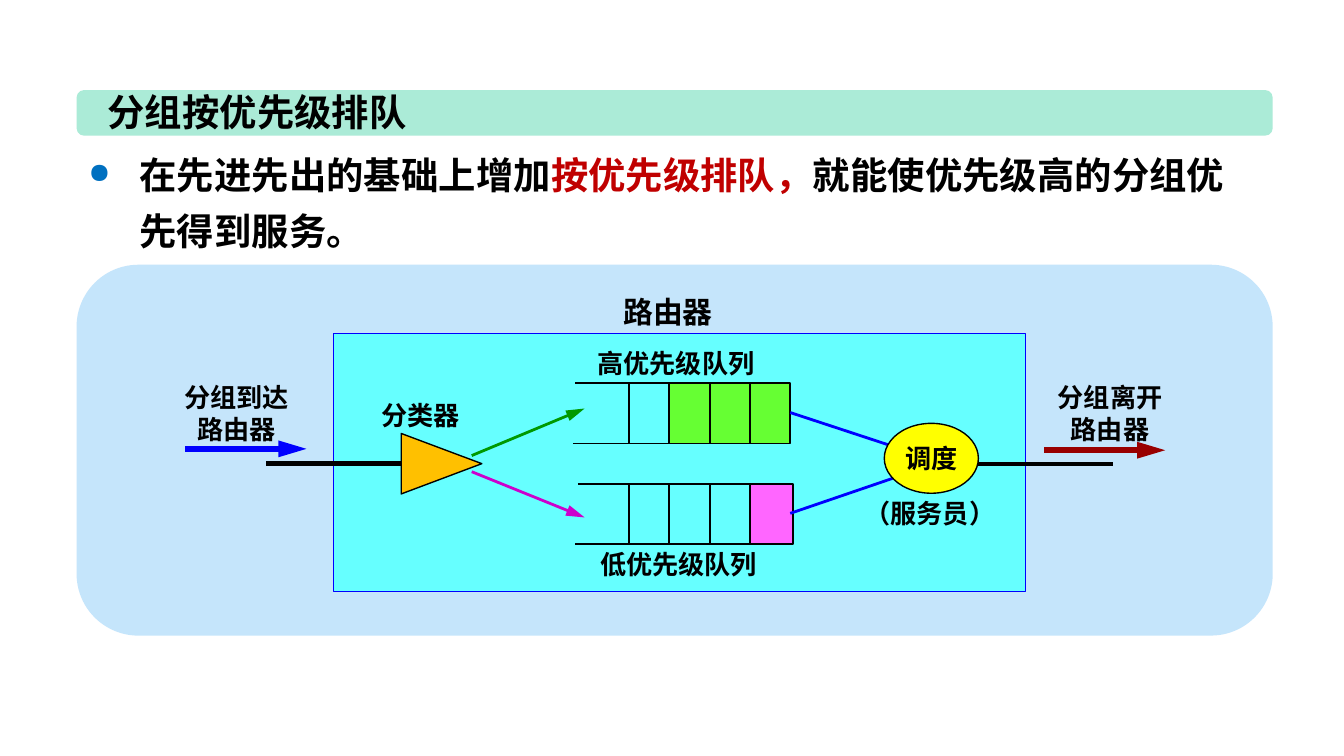
from lxml.etree import SubElement
from pptx import Presentation
from pptx.dml.color import RGBColor
from pptx.enum.shapes import MSO_CONNECTOR, MSO_SHAPE as SHAPE
from pptx.enum.text import MSO_ANCHOR, MSO_AUTO_SIZE, PP_ALIGN as ALIGN
from pptx.oxml.ns import qn
from pptx.util import Inches, Pt

FONT = "Noto Sans CJK SC"
COLORS = {
    "black": "000000", "red": "C00000", "bullet": "0070C0",
    "mint": "ABEBD7", "panel": "C5E5FB", "cyan": "66FFFF",
    "blue": "0000FF", "lime": "66FF33", "pink": "FF66FF",
    "orange": "FFC000", "yellow": "FFFF00", "green": "009900",
    "purple": "CC00CC", "maroon": "990000",
}

TITLE = "分组按优先级排队"
BODY = [
    ("在先进先出的基础上增加", "black"),
    ("按优先级排队，", "red"),
    ("就能使优先级高的分组优先得到服务。", "black"),
]

# Lines of text, centre x, centre y, size
LABELS = [
    (["路由器"], 4.97, 2.32, 16),
    (["高优先级队列"], 5.03, 2.70, 14),
    (["低优先级队列"], 5.05, 4.20, 14),
    (["分类器"], 3.13, 3.09, 14),
    (["（服务员）"], 6.92, 3.82, 14),
    (["分组到达", "路由器"], 1.76, 3.07, 14),
    (["分组离开", "路由器"], 8.26, 3.07, 14),
]

# Top, right edge, number of filled cells, fill
QUEUES = [(2.85, 5.88, 3, "lime"), (3.60, 5.90, 1, "pink")]
CELL_WIDTH, QUEUE_HEIGHT, QUEUE_LENGTH = 0.3, 0.45, 1.6
FIRST_DIVIDER, DIVIDERS = 4.68, 4

# Start, end, colour, width, arrowhead
LINKS = [
    ((1.98, 3.45), (2.98, 3.45), "black", 3, False),
    ((7.28, 3.45), (8.28, 3.45), "black", 2.25, False),
    ((1.38, 3.34), (2.28, 3.34), "blue", 3, True),
    ((7.77, 3.35), (8.67, 3.35), "maroon", 3, True),
    ((3.51, 3.39), (4.35, 3.04), "green", 1.5, True),
    ((3.51, 3.51), (4.35, 3.85), "purple", 1.5, True),
    ((5.88, 3.07), (6.64, 3.32), "blue", 1.5, False),
    ((5.88, 3.82), (6.64, 3.56), "blue", 1.5, False),
]

presentation = Presentation()
presentation.slide_width = Inches(10)
presentation.slide_height = presentation.slide_width * 9 // 16
slide = presentation.slides.add_slide(presentation.slide_layouts[5])
shapes = slide.shapes


def rgb(name):
    return RGBColor.from_string(COLORS[name])


def add_run(paragraph, text, size, color="black"):
    run = paragraph.add_run()
    run.text = text
    font = run.font
    font.size, font.bold, font.name = Pt(size), True, FONT
    font.color.rgb = rgb(color)
    SubElement(run._r.get_or_add_rPr(), qn("a:ea"), typeface=FONT)


def write(shape, lines, size, align=ALIGN.CENTER):
    """Put unwrapped, vertically centred lines in a shape."""
    frame = shape.text_frame
    frame.word_wrap = False
    frame.auto_size = MSO_AUTO_SIZE.NONE
    frame.vertical_anchor = MSO_ANCHOR.MIDDLE
    for index, line in enumerate(lines):
        paragraph = frame.add_paragraph() if index else frame.paragraphs[0]
        paragraph.alignment = align
        if len(lines) > 1:
            paragraph.line_spacing = Pt(17)
        add_run(paragraph, line, size)


def add_block(kind, left, top, width, height, fill, line=None):
    shape = shapes.add_shape(kind, *map(Inches, (left, top, width, height)))
    shape.shadow.inherit = False
    shape.fill.solid()
    shape.fill.fore_color.rgb = rgb(fill)
    if line:
        shape.line.color.rgb = rgb(line)
        shape.line.width = Pt(0.75)
    else:
        shape.line.fill.background()
    return shape


def add_link(start, end, color, width, arrow=False):
    link = shapes.add_connector(MSO_CONNECTOR.STRAIGHT, *map(Inches, start + end))
    link.line.color.rgb = rgb(color)
    link.line.width = Pt(width)
    if arrow:
        SubElement(link.line._get_or_add_ln(), qn("a:tailEnd"), type="triangle", len="lg")
    SubElement(link._element.spPr, qn("a:effectLst"))


def add_queue(top, right, filled, fill):
    bottom, left = top + QUEUE_HEIGHT, right - QUEUE_LENGTH
    fill_left = FIRST_DIVIDER + (DIVIDERS - filled) * CELL_WIDTH
    add_block(SHAPE.RECTANGLE, fill_left, top, right - fill_left, QUEUE_HEIGHT, fill)
    builder = shapes.build_freeform(Inches(left), Inches(top))
    corners = [(right, top), (right, bottom), (left - 0.02, bottom)]
    builder.add_line_segments([(Inches(x), Inches(y)) for x, y in corners], close=False)
    outline = builder.convert_to_shape()
    outline.shadow.inherit = False
    outline.fill.background()
    outline.line.color.rgb = rgb("black")
    outline.line.width = Pt(1)
    for index in range(DIVIDERS):
        x = FIRST_DIVIDER + index * CELL_WIDTH
        add_link((x, top), (x, bottom), "black", 1)


def add_body():
    box = shapes.add_textbox(*map(Inches, (0.56, 1, 8.89, 0.94)))
    box.text_frame.word_wrap = True
    paragraph = box.text_frame.paragraphs[0]
    paragraph.line_spacing = Pt(30)
    properties = paragraph._p.get_or_add_pPr()
    properties.set("marL", str(Inches(0.38)))
    properties.set("indent", str(Inches(-0.38)))
    bullet_color = SubElement(properties, qn("a:buClr"))
    SubElement(bullet_color, qn("a:srgbClr"), val=COLORS["bullet"])
    SubElement(properties, qn("a:buSzPct"), val="75000")
    SubElement(properties, qn("a:buChar"), char="●")
    for text, color in BODY:
        add_run(paragraph, text, 20, color)


title_bar = add_block(SHAPE.ROUNDED_RECTANGLE, 0.57, 0.67, 8.9, 0.34, "mint")
title = shapes.title
title.left, title.top, title.width, title.height = map(Inches, (0.7, 0.61, 2.45, 0.44))
write(title, [TITLE], 20, ALIGN.LEFT)
title_bar._element.addnext(title._element)  # the title lies on its bar
add_body()

add_block(SHAPE.ROUNDED_RECTANGLE, 0.57, 1.97, 8.9, 2.76, "panel")
add_block(SHAPE.RECTANGLE, 2.48, 2.48, 5.15, 1.92, "cyan", "blue")
for queue in QUEUES:
    add_queue(*queue)
for link_row in LINKS:
    add_link(*link_row)
classifier = add_block(SHAPE.ISOSCELES_TRIANGLE, 3.06, 3.15, 0.45, 0.6, "orange", "black")
classifier.rotation = 90
scheduler = add_block(SHAPE.OVAL, 6.58, 3.15, 0.7, 0.52, "yellow", "black")
write(scheduler, ["调度"], 14)

for lines, center_x, center_y, size in LABELS:
    width = max(map(len, lines)) * size / 72 + 0.2
    height = 0.34 if len(lines) == 1 else 0.57
    label = shapes.add_textbox(Inches(center_x - width / 2), Inches(center_y - height / 2),
                               Inches(width), Inches(height))
    write(label, lines, size)

presentation.save("out.pptx")
